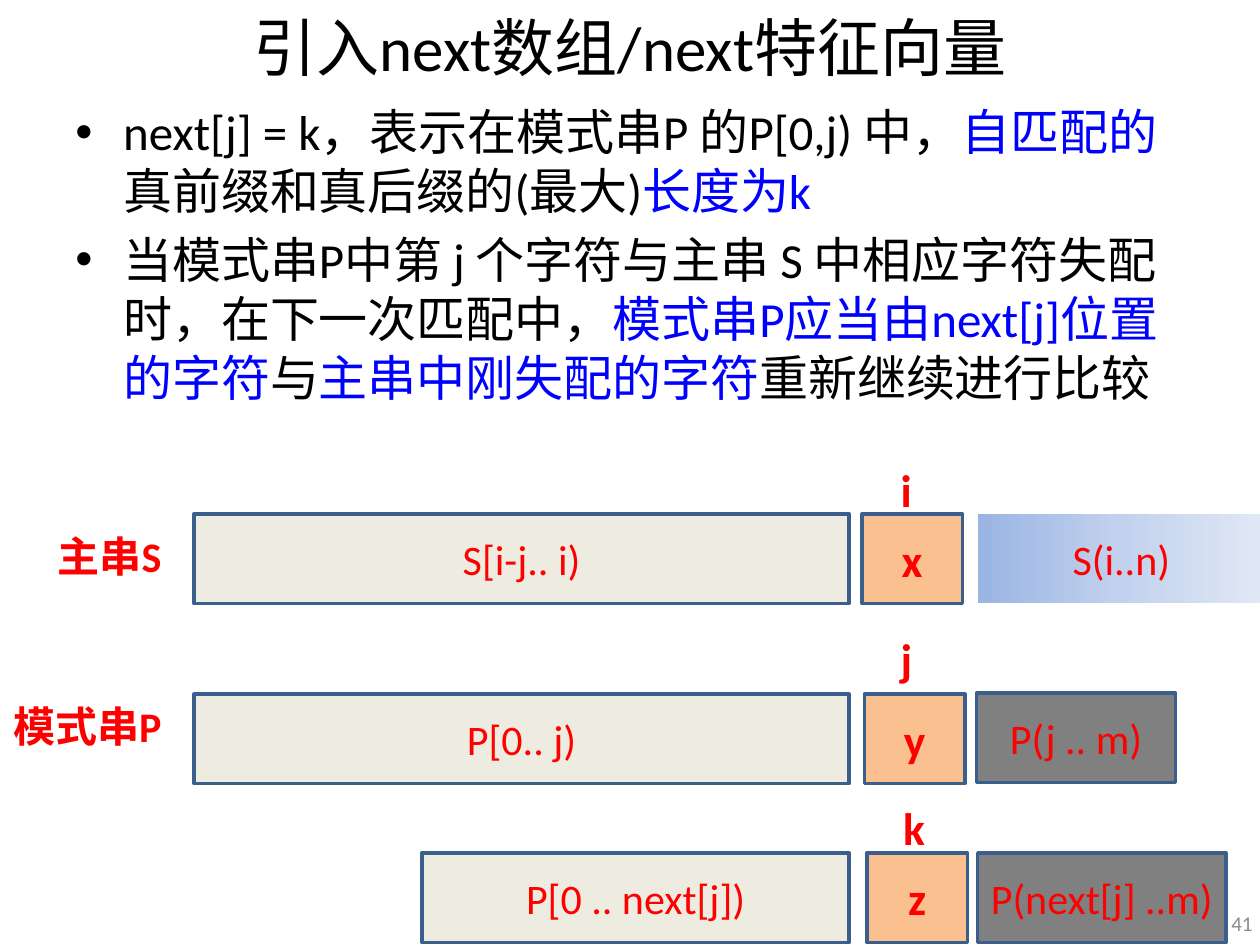
"""Build the slide that introduces the next array for string matching."""
import copy
from dataclasses import dataclass
from typing import NamedTuple

import lxml.etree
import pptx
import pptx.dml.color
import pptx.enum.text
import pptx.oxml.ns
import pptx.util

Inches = pptx.util.Inches
Pt = pptx.util.Pt
Align = pptx.enum.text.PP_ALIGN
Anchor = pptx.enum.text.MSO_ANCHOR
AutoSize = pptx.enum.text.MSO_AUTO_SIZE
qn = pptx.oxml.ns.qn


@dataclass(frozen=True)
class Theme:
    font: str = "Calibri"
    ink: str = "000000"
    accent: str = "0000FF"
    label: str = "FF0000"
    muted: str = "8C8C8C"
    matched: str = "EEECE1"
    current: str = "FAC090"
    rest: str = "808080"
    border: str = "3A5F8C"
    fade: tuple = ("9AB5E4", "C2D1ED", "E1E8F5")
    title_size: int = 36
    body_size: int = 28
    index_size: int = 26
    label_size: int = 24
    number_size: int = 12


class Style(NamedTuple):
    size: int
    color: str
    bold: bool = False


class Box(NamedTuple):
    left: float
    top: float
    width: float
    height: float


class Segment(NamedTuple):
    text: str
    box: Box
    fill: str | tuple
    style: Style


class Label(NamedTuple):
    text: str
    box: Box
    style: Style
    align: Align
    wrap: bool = True


THEME = Theme()
SEGMENT_HEIGHT = 0.71
MATCH_RIGHT = 6.74
CURRENT_WIDTH = 0.8
PLAIN = Style(THEME.label_size, THEME.label)
NAME = Style(THEME.label_size, THEME.label, True)
INDEX = Style(THEME.index_size, THEME.label, True)

BULLETS = (
    (("next[j] = k，表示在模式串P 的P[0,j) 中，", THEME.ink),
     ("自匹配的", THEME.accent),
     ("真前缀和真后缀的(最大)", THEME.ink),
     ("长度为k", THEME.accent)),
    (("当模式串P中第 j 个字符与主串 S 中相应字符失配时，在下一次匹配中，", THEME.ink),
     ("模式串P应当由next[j]位置的字符", THEME.accent),
     ("与", THEME.ink),
     ("主串中刚失配的字符", THEME.accent),
     ("重新继续进行比较", THEME.ink)),
)


def row(top: float, start: float, matched: str, current: str, current_left: float,
        rest: str, rest_box: Box, rest_fill: str | tuple) -> tuple[Segment, ...]:
    """Describe the matched, current and remaining segments of one string."""
    return (
        Segment(matched, Box(start, top, MATCH_RIGHT - start, SEGMENT_HEIGHT), THEME.matched, PLAIN),
        Segment(current, Box(current_left, top, CURRENT_WIDTH, SEGMENT_HEIGHT), THEME.current, INDEX),
        Segment(rest, rest_box, rest_fill, PLAIN),
    )


ROWS = (
    row(4.08, 1.54, "S[i-j.. i)", "x", 6.84,
        "S(i..n)", Box(7.76, 4.08, 2.28, SEGMENT_HEIGHT), THEME.fade),
    row(5.51, 1.54, "P[0.. j)", "y", 6.86,
        "P(j .. m)", Box(7.75, 5.5, 1.58, SEGMENT_HEIGHT), THEME.rest),
    row(6.77, 3.35, "P[0 .. next[j])", "z", 6.88,
        "P(next[j] ..m)", Box(7.76, 6.77, 1.97, SEGMENT_HEIGHT), THEME.rest),
)

LABELS = (
    Label("主串S", Box(0.12, 4.16, 1.26, 0.5), NAME, Align.RIGHT),
    Label("模式串P", Box(-0.16, 5.51, 1.54, 0.5), NAME, Align.RIGHT),
    Label("i", Box(7.05, 3.62, 0.29, 0.54), INDEX, Align.LEFT, False),
    Label("j", Box(7.05, 4.96, 0.29, 0.54), INDEX, Align.LEFT, False),
    Label("k", Box(7.07, 6.3, 0.38, 0.54), INDEX, Align.LEFT, False),
)


def rgb(color: str) -> pptx.dml.color.RGBColor:
    """Turn a hex string into a colour."""
    return pptx.dml.color.RGBColor.from_string(color)


def place(box: Box) -> tuple[pptx.util.Length, ...]:
    """Convert a box to lengths."""
    return tuple(Inches(value) for value in box)


def add_run(paragraph, text: str, style: Style) -> None:
    """Append one styled run."""
    run = paragraph.add_run()
    run.text = text
    run.font.name = THEME.font
    run.font.size = Pt(style.size)
    run.font.bold = style.bold
    run.font.color.rgb = rgb(style.color)


def add_title(slide, text: str, box: Box) -> None:
    """Move the title placeholder and fill it."""
    title = slide.shapes.title
    title.left, title.top, title.width, title.height = place(box)
    frame = title.text_frame
    frame.auto_size = AutoSize.NONE
    frame.vertical_anchor = Anchor.MIDDLE
    frame.paragraphs[0].alignment = Align.CENTER
    add_run(frame.paragraphs[0], text, Style(THEME.title_size, THEME.ink))


def add_bullets(slide, box: Box) -> None:
    """Write the bulleted explanation."""
    frame = slide.shapes.add_textbox(*place(box)).text_frame
    frame.word_wrap = True
    for number, parts in enumerate(BULLETS):
        paragraph = frame.add_paragraph() if number else frame.paragraphs[0]
        properties = paragraph._p.get_or_add_pPr()
        properties.set("marL", str(Inches(0.38)))
        properties.set("indent", str(-Inches(0.38)))
        lxml.etree.SubElement(properties, qn("a:buFont"), typeface="Arial")
        lxml.etree.SubElement(properties, qn("a:buChar"), char="•")
        if number:
            paragraph.space_before = Pt(0.2 * THEME.body_size)
        for text, color in parts:
            add_run(paragraph, text, Style(THEME.body_size, color))


def fade_fill(shape, colors: tuple) -> None:
    """Fill a shape with evenly spaced gradient stops from left to right."""
    shape.fill.gradient()
    shape.fill.gradient_angle = 0
    stops = shape._element.spPr.find(".//" + qn("a:gsLst"))
    stops.insert(1, copy.deepcopy(stops[0]))
    for number, (stop, color) in enumerate(zip(shape.fill.gradient_stops, colors)):
        stop.position = number / (len(colors) - 1)
        stop.color.rgb = rgb(color)


def add_segment(slide, segment: Segment) -> None:
    """Draw one segment of a string."""
    shape = slide.shapes.add_shape(pptx.enum.shapes.MSO_SHAPE.RECTANGLE, *place(segment.box))
    shape.shadow.inherit = False
    if isinstance(segment.fill, tuple):
        fade_fill(shape, segment.fill)
        shape.line.fill.background()
    else:
        shape.fill.solid()
        shape.fill.fore_color.rgb = rgb(segment.fill)
        shape.line.color.rgb = rgb(THEME.border)
        shape.line.width = Pt(2)
    frame = shape.text_frame
    frame.vertical_anchor = Anchor.MIDDLE
    frame.paragraphs[0].alignment = Align.CENTER
    add_run(frame.paragraphs[0], segment.text, segment.style)


def add_label(slide, label: Label, anchor: Anchor = Anchor.TOP) -> None:
    """Write one free-standing label."""
    frame = slide.shapes.add_textbox(*place(label.box)).text_frame
    frame.word_wrap = label.wrap
    frame.vertical_anchor = anchor
    frame.paragraphs[0].alignment = label.align
    add_run(frame.paragraphs[0], label.text, label.style)


def main() -> None:
    """Assemble and save the slide."""
    deck = pptx.Presentation()
    deck.slide_width, deck.slide_height = Inches(10), Inches(7.5)
    slide = deck.slides.add_slide(deck.slide_layouts.get_by_name("Title Only"))
    add_title(slide, "引入next数组/next特征向量", Box(0.5, -0.03, 9, 0.79))
    add_bullets(slide, Box(0.5, 0.76, 9, 6.74))
    page = Label("41", Box(9.61, 7.13, 0.43, 0.4), Style(THEME.number_size, THEME.muted), Align.RIGHT)
    add_label(slide, page, Anchor.MIDDLE)
    for segments in ROWS:
        for segment in segments:
            add_segment(slide, segment)
    for label in LABELS:
        add_label(slide, label)
    deck.save("out.pptx")


if __name__ == "__main__":
    main()
